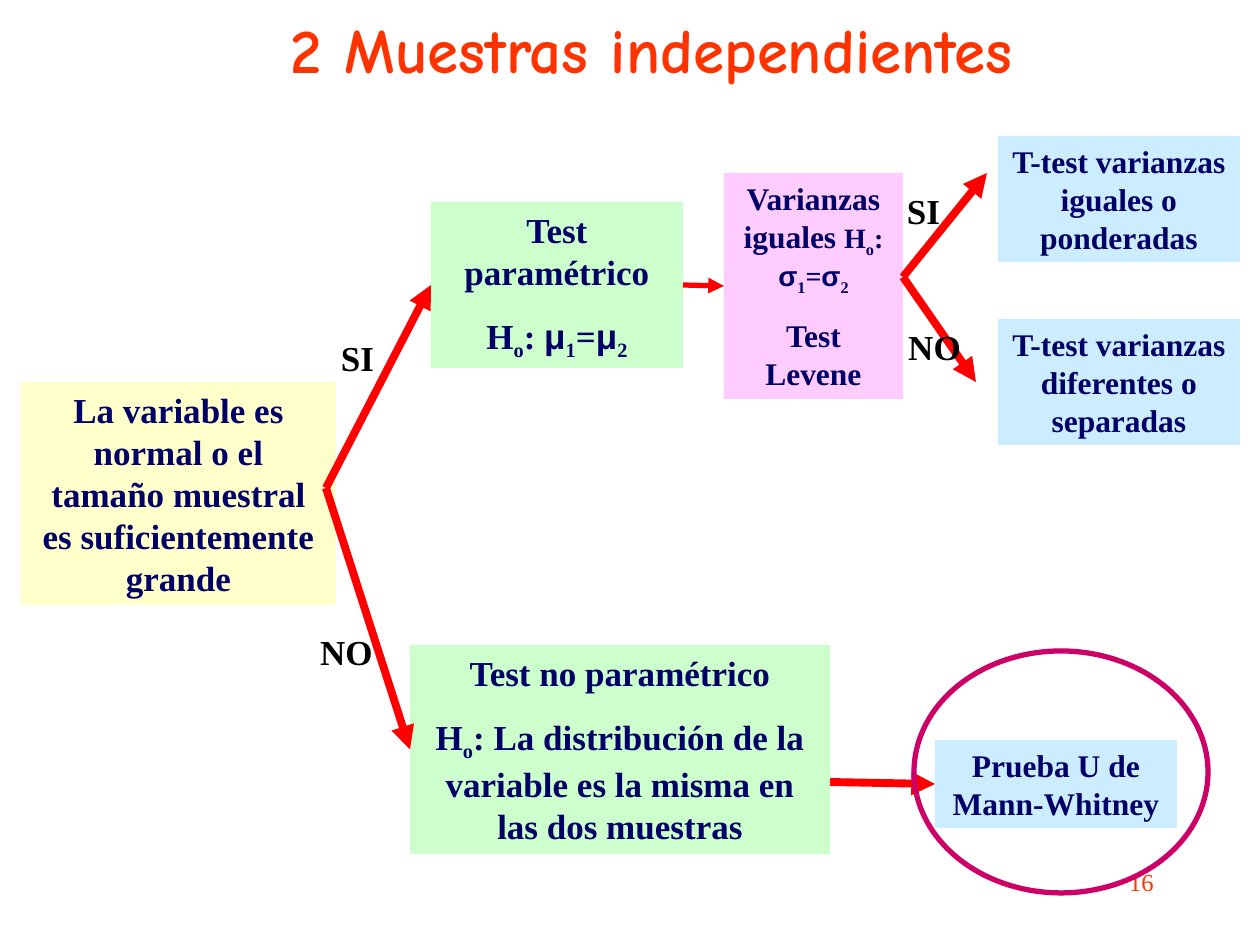
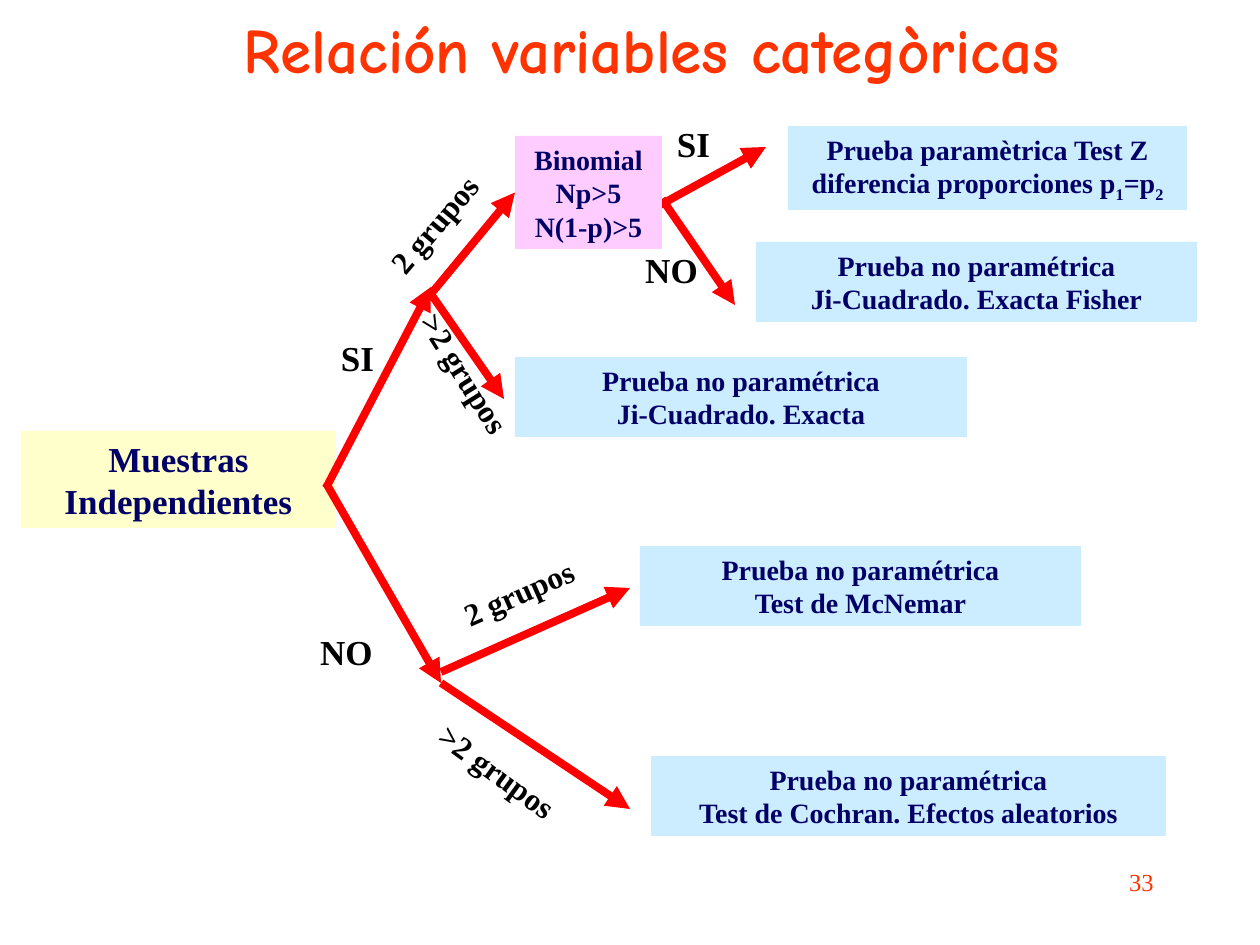
from dataclasses import dataclass
from typing import Any

from lxml import etree
from pptx import Presentation
from pptx.dml.color import RGBColor
from pptx.enum.shapes import MSO_CONNECTOR as Line, MSO_SHAPE as Form
from pptx.enum.text import MSO_ANCHOR as Anchor, MSO_AUTO_SIZE as Fit, PP_ALIGN as Align
from pptx.oxml.ns import qn
from pptx.util import Emu, Pt

PX = 914400 / 126
INK = {
    "title": "FF3300", "text": "000066", "label": "000000", "arrow": "FF0000",
    "ring": "CC0066", "root": "FFFFCC", "test": "CCFFCC", "check": "FFCCFF",
    "result": "CCECFF",
}
SERIF, SANS, COMIC = "Times New Roman", "Arial", "Comic Neue"
LEFT, RIGHT = 1, 3


def px(num):
    return Emu(round(num * PX))


def rgb(name):
    return RGBColor.from_string(INK[name])


def style(font, face, size, color, bold=True):
    font.name, font.size, font.bold = face, Pt(size), bold
    font.color.rgb = rgb(color)


def write(par, text, size, color):
    """Fill a paragraph; "|" parts the runs and "_" opens a subscript."""
    par.alignment = Align.CENTER
    for part in text.split("|"):
        run = par.add_run()
        run.text = part.removeprefix("_")
        style(run.font, SANS if part in "μσ" else SERIF, size, color)
        if part.startswith("_"):
            run.font._element.set("baseline", "-25000")


def fill(shape, lines, size, color, gap=0):
    frame = shape.text_frame
    frame.word_wrap = True
    frame.auto_size = Fit.SHAPE_TO_FIT_TEXT
    frame.vertical_anchor = Anchor.TOP
    for num, text in enumerate(lines):
        par = frame.add_paragraph() if num else frame.paragraphs[0]
        write(par, text, size, color)
        if num:
            par.space_before = Pt(gap)


@dataclass
class Pane:
    """A region of a slide: its shapes and its top left corner in px."""
    shapes: Any
    x: int = 0
    y: int = 0

    def place(self, x, y, w, h):
        return px(self.x + x), px(self.y + y), px(w), px(h)

    def box(self, at, kind, lines, size, gap=0):
        shape = self.shapes.add_shape(Form.RECTANGLE, *self.place(*at))
        shape.shadow.inherit = False
        shape.fill.solid()
        shape.fill.fore_color.rgb = rgb(kind)
        shape.line.fill.background()
        fill(shape, lines, size, "text", gap)
        return shape

    def label(self, x, y, text, w=147, h=55, size=20, turn=0):
        shape = self.shapes.add_textbox(*self.place(x, y, w, h))
        fill(shape, [text], size, "label")
        shape.rotation = turn

    def groups(self, two, more):
        """Slanted labels of a fork, each as x, y, turn."""
        for text, wide, (x, y, turn) in (("2 grupos", 175, two), (">2 grupos", 241, more)):
            self.label(x, y, text, wide, 50, 18, turn)

    def arrow(self, start, end, tail=None, head=None, width=4.5):
        """Draw an arrow, joined to the right of tail and the left of head."""
        line = self.shapes.add_connector(
            Line.STRAIGHT, *self.place(*start, 0, 0)[:2], *self.place(*end, 0, 0)[:2])
        if tail is not None:
            line.begin_connect(tail, RIGHT)
        if head is not None:
            line.end_connect(head, LEFT)
        line.line.color.rgb = rgb("arrow")
        line.line.width = Pt(width)
        etree.SubElement(line.line._get_or_add_ln(), qn("a:tailEnd"), type="triangle")
        etree.SubElement(line._element.spPr, qn("a:effectLst"))


def start(deck, title, number):
    """Add a slide with its title and number."""
    slide = deck.slides.add_slide(deck.slide_layouts[5])
    pane = Pane(slide.shapes)
    head = slide.shapes.title
    head.left, head.top, head.width, head.height = pane.place(116, 0, 1071, 97)
    head.text_frame.text = title
    head.text_frame.vertical_anchor = Anchor.MIDDLE
    par = head.text_frame.paragraphs[0]
    par.alignment = Align.CENTER
    style(par.runs[0].font, COMIC, 36, "title")

    foot = slide.shapes.add_textbox(*pane.place(903, 861, 263, 63))
    foot.text_frame.word_wrap = True
    foot.text_frame.text = number
    par = foot.text_frame.paragraphs[0]
    par.alignment = Align.RIGHT
    style(par.runs[0].font, SERIF, 14, "title", False)
    return slide


def root(pane, text, top, high, fork, low, yes=None, no=None):
    """First question, with its SI and NO arrows."""
    pane.box((0, top, 315, high), "root", [text], 20)
    pane.arrow((305, 158), (410, -43), head=yes)
    pane.arrow((305, fork), low, head=no)
    pane.label(263, 0, "SI")
    pane.label(252, 294, "NO")


def levene(pane):
    """Check of equal variances and its two outcomes."""
    check = pane.box((0, 37, 179, 226), "check",
                     ["Varianzas iguales |H|_o|: |σ|_1|=|σ|_2", "Test Levene"], 18, 11.2)
    for run in check.text_frame.paragraphs[0].runs[1:]:
        run.font.size = Pt(16)
    for num, kind in enumerate(("iguales o ponderadas", "diferentes o separadas")):
        pane.box((274, 183 * num, 242, 126), "result", [f"T-test varianzas {kind}"], 18)
    for end in ((263, 37), (252, 246)):
        pane.arrow((179, 141), end)
    pane.label(126, 47, "SI")
    pane.label(137, 183, "NO")
    return check


def ranks(pane):
    """Non-parametric test and the ringed result."""
    test = pane.box((0, 0, 420, 209), "test", [
        "Test no paramétrico",
        "H|_o|: La distribución de la variable es la misma en las dos muestras"], 20, 12.5)
    goal = pane.box((525, 95, 242, 88), "result", ["Prueba U de Mann-Whitney"], 18)
    pane.arrow((420, 137), (525, 139), head=goal)
    ring = pane.shapes.add_shape(Form.OVAL, *pane.place(504, 6, 294, 242))
    ring.shadow.inherit = False
    ring.fill.background()
    ring.line.color.rgb = rgb("ring")
    ring.line.width = Pt(3)
    return test


def means(deck):
    shapes = start(deck, "2 Muestras independientes", "16").shapes
    pane = Pane(shapes)
    test = pane.box((431, 202, 252, 166), "test",
                    ["Test paramétrico", "H|_o|: |μ|_1|=|μ|_2"], 20, 12.5)
    other = ranks(Pane(shapes, 410, 645))
    root(Pane(shapes, 21, 330),
         "La variable es normal o el tamaño muestral es suficientemente grande",
         52, 223, 158, (389, 420), test, other)
    check = levene(Pane(shapes.add_group_shape().shapes, 724, 136))
    pane.arrow((683, 285), (724, 286), test, check, 3)


def apart(pane):
    """Independent samples: two groups or more."""
    pane.arrow((220, 84), (335, 21))
    pane.arrow((231, 73), (304, 179))
    check = pane.box((84, 10, 147, 113), "check", ["Binomial", "Np>5", "N(1-p)>5"], 16)
    pane.arrow((0, 168), (84, 66), head=check)
    pane.arrow((0, 168), (73, 273))
    pane.box((357, 0, 399, 84), "result",
             ["Prueba paramètrica Test Z diferencia proporciones p|_1|=p|_2"], 16)
    plain(pane, 325, 116, 441, "Ji-Cuadrado. Exacta Fisher")
    plain(pane, 84, 231, 452, "Ji-Cuadrado. Exacta")
    pane.label(189, -10, "SI")
    pane.label(167, 116, "NO")
    pane.groups((-85, 73, 310.2), (-86, 222, 57.8))


def paired(pane):
    """Related samples: two groups or more."""
    pane.arrow((0, 126), (189, 42))
    pane.arrow((0, 137), (189, 263))
    plain(pane, 199, 0, 441, "Test de McNemar")
    plain(pane, 210, 210, 515, "Test de Cochran. Efectos aleatorios")
    pane.groups((-10, 21, 336.1), (-64, 200, 36.2))


def plain(pane, x, y, wide, name):
    """Result box of a non-parametric test."""
    pane.box((x, y, wide, 80), "result", ["Prueba no paramétrica", name], 16)


def counts(deck):
    shapes = start(deck, "Relación variables categòricas", "33").shapes
    root(Pane(shapes, 21, 330), "Muestras Independientes", 101, 97, 153, (420, 353))
    apart(Pane(shapes, 431, 126))
    paired(Pane(shapes, 441, 546))


def main():
    deck = Presentation()
    deck.slide_width, deck.slide_height = px(1260), px(945)
    means(deck)
    counts(deck)
    deck.save("out.pptx")


if __name__ == "__main__":
    main()
